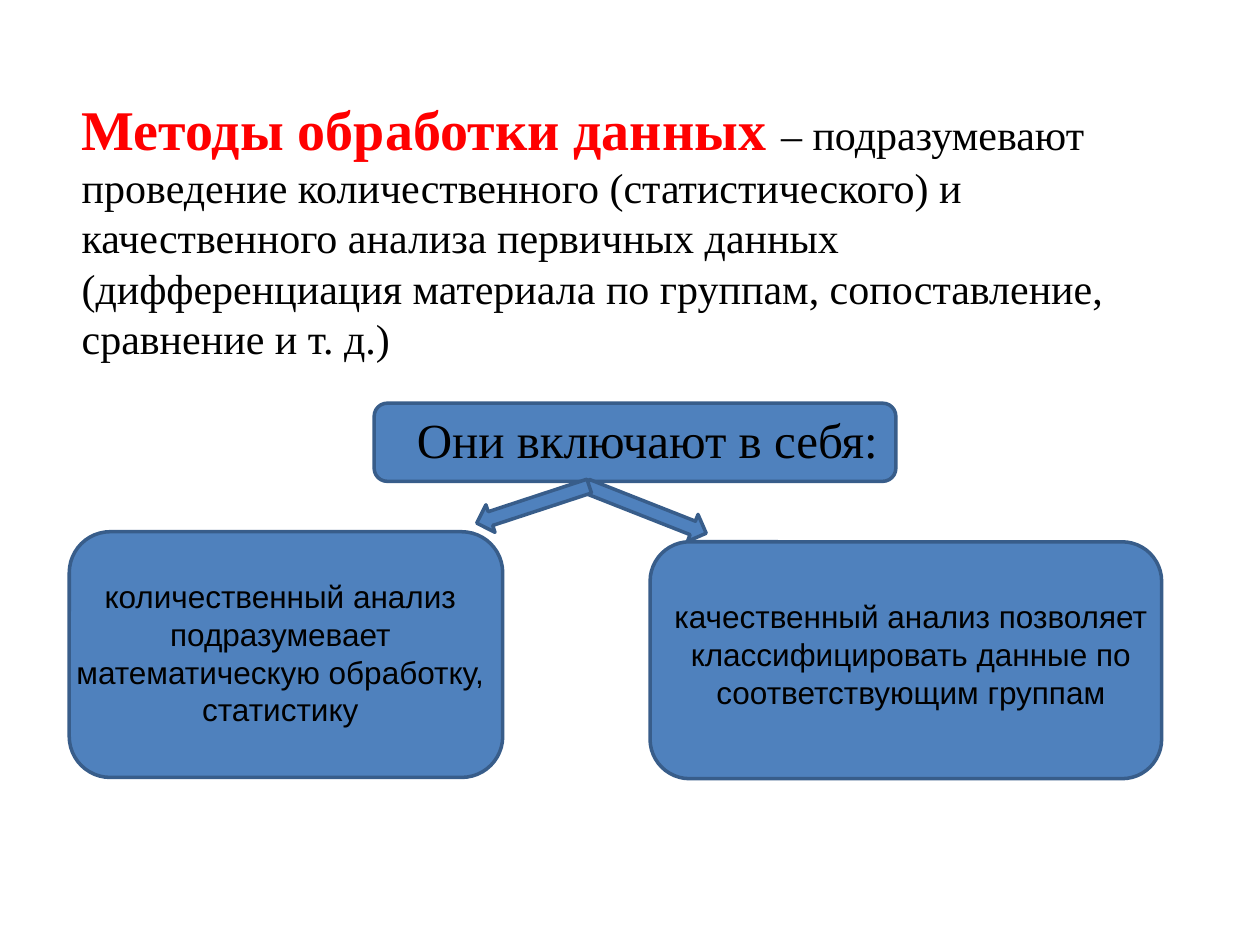
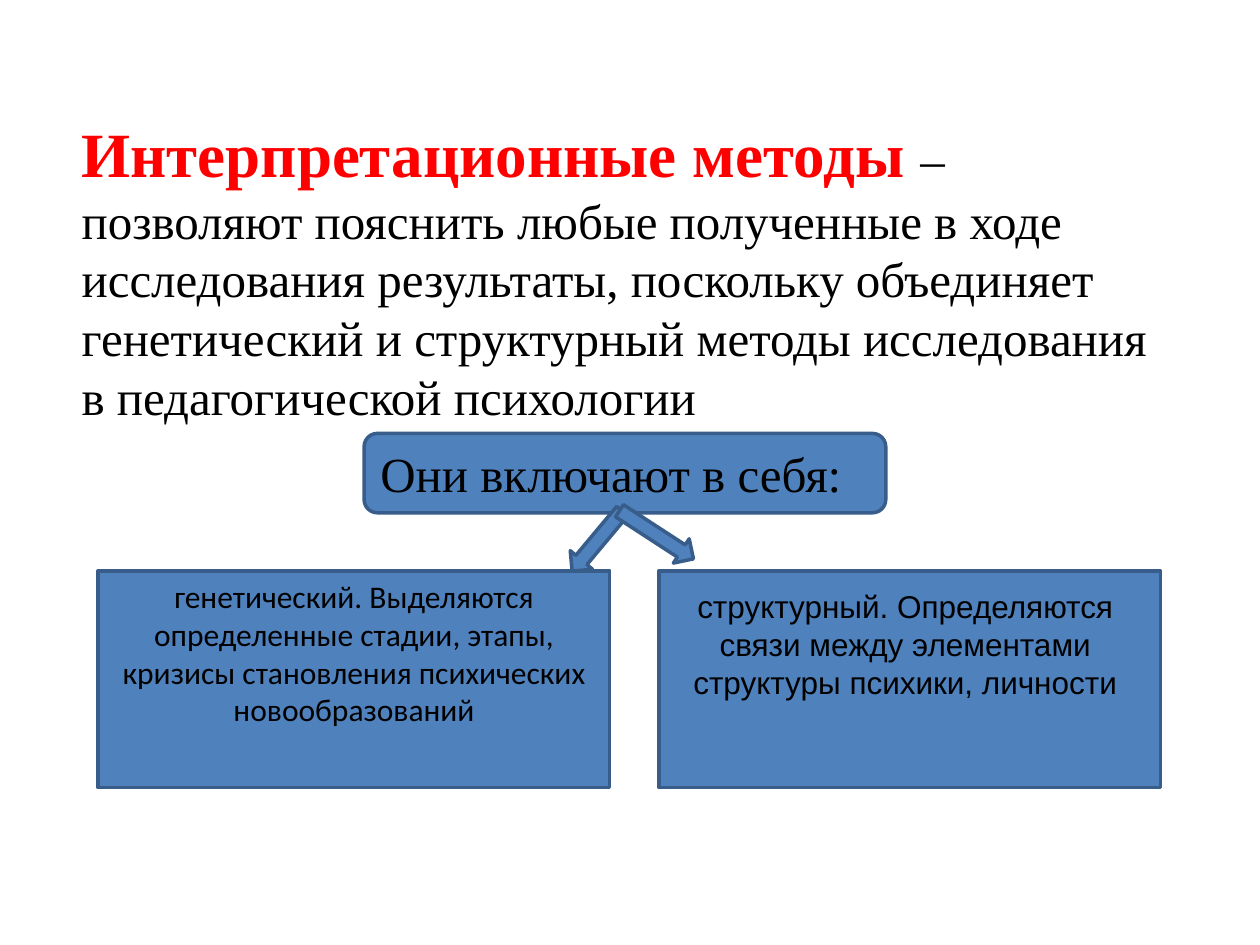
from typing import NamedTuple

from pptx import Presentation
from pptx import util as u
from pptx.dml.color import RGBColor
from pptx.enum import shapes, text

COLORS = {"fill": "4F81BD", "edge": "385D8A", "term": "FF0000", "body": "000000"}
SERIF = "Times New Roman"
HEADING = "Они включают в себя:"
KIND = shapes.MSO_SHAPE
LEFT, CENTER = text.PP_ALIGN.LEFT, text.PP_ALIGN.CENTER


class Area(NamedTuple):
    left: float
    top: float
    width: float
    height: float


class Span(NamedTuple):
    words: str
    size: int
    font: str = SERIF
    color: str = "body"
    bold: bool = False


class Panel(NamedTuple):
    kind: shapes.MSO_SHAPE
    area: Area
    rotation: float = 0
    label: Span | None = None


class Caption(NamedTuple):
    area: Area
    spans: list[Span]
    align: text.PP_ALIGN = LEFT
    wrap: bool = True


class Scheme(NamedTuple):
    panels: list[Panel]
    captions: list[Caption]
    front: list[Panel]  # drawn over the captions


def definition(area: Area, term: str, meaning: str, size: int) -> Caption:
    """A red bold term followed by its explanation."""
    return Caption(area, [Span(term + " ", size + 8, color="term", bold=True),
                          Span("– " + meaning, size)])


def branch(area: Area, words: str, font: str = "Arial") -> Caption:
    return Caption(area, [Span(words, 18, font)], CENTER)


def color(name: str) -> RGBColor:
    return RGBColor.from_string(COLORS[name])


def write(frame, spans: list[Span], align: text.PP_ALIGN) -> None:
    para = frame.paragraphs[0]
    para.alignment = align
    for span in spans:
        run = para.add_run()
        run.text = span.words
        formats = {"name": span.font, "size": u.Pt(span.size), "bold": span.bold}
        for key, value in formats.items():
            setattr(run.font, key, value)
        run.font.color.rgb = color(span.color)


def draw_panel(page, panel: Panel) -> None:
    box = page.shapes.add_shape(panel.kind, *map(u.Inches, panel.area))
    box.shadow.inherit = False
    box.rotation = panel.rotation
    box.fill.solid()
    box.fill.fore_color.rgb = color("fill")
    box.line.color.rgb = color("edge")
    box.line.width = u.Pt(2)
    if panel.label:
        box.text_frame.vertical_anchor = text.MSO_ANCHOR.MIDDLE
        write(box.text_frame, [panel.label], LEFT)


def draw_caption(page, caption: Caption) -> None:
    frame = page.shapes.add_textbox(*map(u.Inches, caption.area)).text_frame
    formats = {"word_wrap": caption.wrap,
               "auto_size": text.MSO_AUTO_SIZE.SHAPE_TO_FIT_TEXT}
    for key, value in formats.items():
        setattr(frame, key, value)
    write(frame, caption.spans, caption.align)


SCHEMES = [
    # Data processing methods
    Scheme(
        [Panel(KIND.ROUNDED_RECTANGLE, Area(5.16, 4.3, 4.06, 1.88)),
         Panel(KIND.ROUNDED_RECTANGLE, Area(0.55, 4.22, 3.44, 1.95)),
         Panel(KIND.ROUNDED_RECTANGLE, Area(2.97, 3.2, 4.14, 0.62))],
        [definition(Area(0.55, 0.7, 8.83, 2.24), "Методы обработки данных",
                    "подразумевают проведение количественного (статистического) "
                    "и качественного анализа первичных данных (дифференциация "
                    "материала по группам, сопоставление, сравнение и т. д.)", 24),
         Caption(Area(3.21, 3.2, 3.98, 0.57), [Span(HEADING, 28)], wrap=False),
         branch(Area(0.39, 4.53, 3.67, 1.3),
                "количественный анализ подразумевает математическую обработку, "
                "статистику"),
         branch(Area(5.08, 4.69, 4.3, 1),
                "качественный анализ позволяет классифицировать данные по "
                "соответствующим группам")],
        [Panel(KIND.RIGHT_ARROW, Area(4.62, 3.93, 1.02, 0.23), 21.5),
         Panel(KIND.LEFT_ARROW, Area(3.76, 3.89, 0.94, 0.23), 341.8)],
    ),
    # Interpretation methods
    Scheme(
        [Panel(KIND.RECTANGLE, Area(5.23, 4.53, 3.98, 1.72)),
         Panel(KIND.RECTANGLE, Area(0.78, 4.53, 4.06, 1.72)),
         Panel(KIND.ROUNDED_RECTANGLE, Area(2.89, 3.44, 4.14, 0.63),
               label=Span(HEADING, 28))],
        [definition(Area(0.55, 0.86, 8.83, 2.57), "Интерпретационные методы",
                    "позволяют пояснить любые полученные в ходе исследования "
                    "результаты, поскольку объединяет генетический и структурный "
                    "методы исследования в педагогической психологии", 28),
         branch(Area(5.23, 4.61, 3.91, 1),
                "структурный. Определяются связи между элементами структуры "
                "психики, личности"),
         branch(Area(0.7, 4.53, 4.22, 1.3),
                "генетический. Выделяются определенные стадии, этапы, кризисы "
                "становления психических новообразований", "Calibri")],
        [Panel(KIND.LEFT_ARROW, Area(4.43, 4.18, 0.62, 0.23), 309.9),
         Panel(KIND.RIGHT_ARROW, Area(4.86, 4.13, 0.7, 0.23), 33)],
    ),
]


def main() -> None:
    deck = Presentation()
    deck.slide_width, deck.slide_height = u.Inches(10), u.Inches(7.5)
    for scheme in SCHEMES:
        page = deck.slides.add_slide(deck.slide_layouts[6])
        for panel in scheme.panels:
            draw_panel(page, panel)
        for caption in scheme.captions:
            draw_caption(page, caption)
        for panel in scheme.front:
            draw_panel(page, panel)
    deck.save("out.pptx")


if __name__ == "__main__":
    main()
